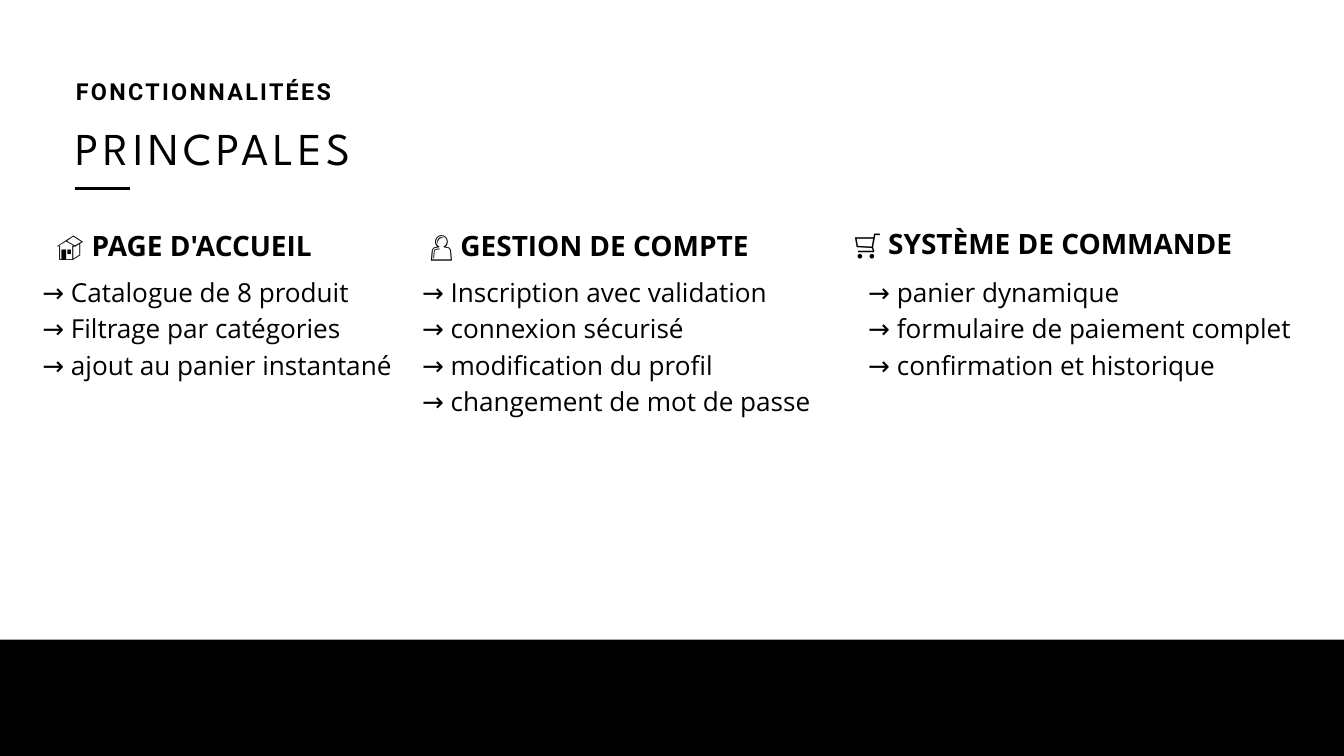
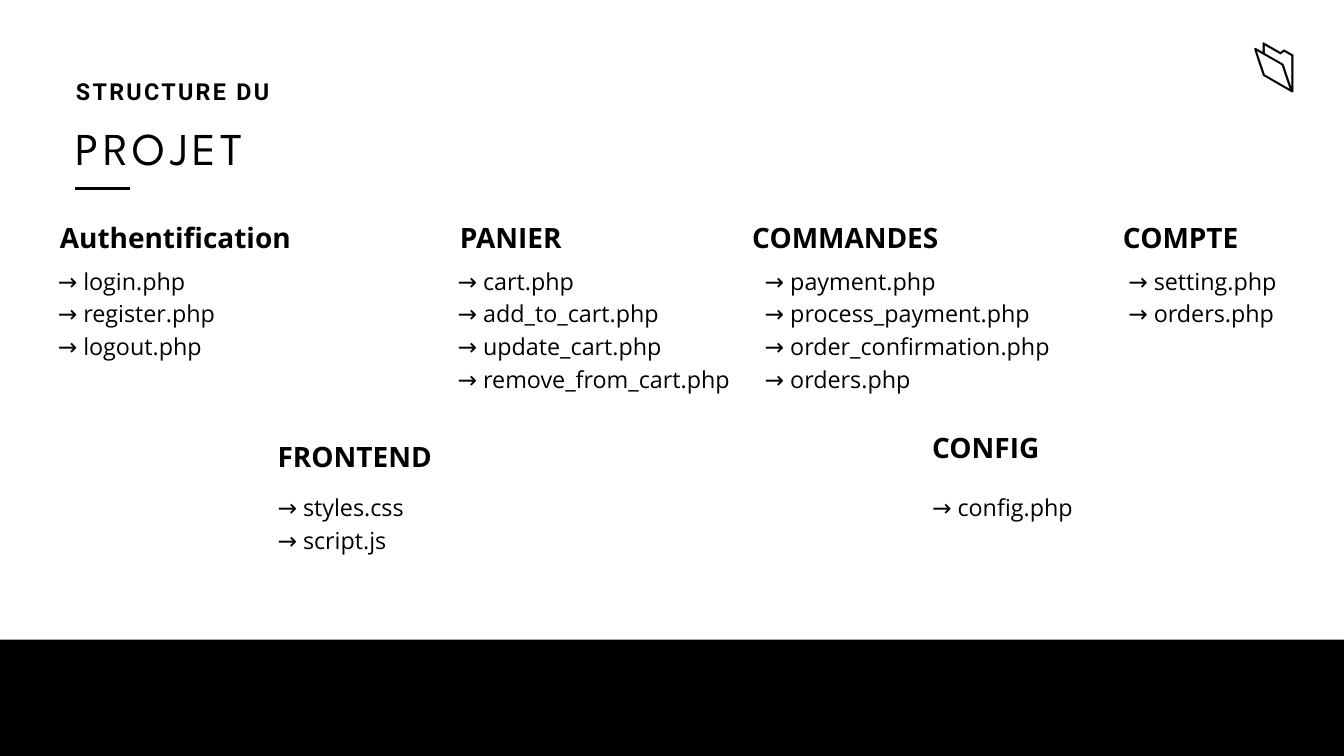
"""Builds two slides on a shop site: its main features and its file structure."""
from lxml import etree
from pptx import Presentation
from pptx.dml.color import RGBColor
from pptx.enum.shapes import MSO_CONNECTOR, MSO_SHAPE
from pptx.enum.text import MSO_ANCHOR, MSO_AUTO_SIZE, PP_ALIGN
from pptx.oxml.ns import qn
from pptx.util import Inches, Pt

LEFT, CENTER, JUSTIFY = PP_ALIGN.LEFT, PP_ALIGN.CENTER, PP_ALIGN.JUSTIFY
TOP, GROW = MSO_ANCHOR.TOP, MSO_AUTO_SIZE.SHAPE_TO_FIT_TEXT
LINE, RECT = MSO_CONNECTOR.STRAIGHT, MSO_SHAPE.RECTANGLE
BLACK = "000000"
SANS = "Open Sans"

DECK = [
    {
        "title": "PRINCPALES", "kicker": "FONCTIONNALITÉES", "size": 28, "align": JUSTIFY,
        "groups": [
            ("🏠 PAGE D'ACCUEIL", (0.63, 3.32, 4.21), (0.63, 4.03, 5.27),
             ["Catalogue de 8 produit", "Filtrage par catégories", "ajout au panier instantané"]),
            ("👤 GESTION DE COMPTE", (6.28, 3.32, 4.98), (6.28, 4.03, 6.64),
             ["Inscription avec validation", "connexion sécurisé",
              "modification du profil", "changement de mot de passe"]),
            ("🛒 SYSTÈME DE COMMANDE", (12.62, 3.29, 5.81), (12.92, 4.03, 6.47),
             ["panier dynamique", "formulaire de paiement complet",
              "confirmation et historique"]),
        ],
    },
    {
        "title": "PROJET", "kicker": "STRUCTURE DU", "size": 25, "align": LEFT, "icon": "📂",
        "groups": [
            ("Authentification", (0.52, 3.2, 4.18), (0.86, 3.9, 2.41),
             ["login.php", "register.php", "logout.php"]),
            ("PANIER", (5.51, 3.2, 4.18), (6.81, 3.9, 4.13),
             ["cart.php", "add_to_cart.php", "update_cart.php", "remove_from_cart.php"]),
            ("COMMANDES", (10.49, 3.2, 4.18), (11.38, 3.9, 4.31),
             ["payment.php", "process_payment.php", "order_confirmation.php", "orders.php"]),
            ("COMPTE", (15.48, 3.2, 4.18), (16.79, 3.9, 2.27),
             ["setting.php", "orders.php"]),
            ("FRONTEND", (4.13, 6.45, 2.3), (4.13, 7.27, 1.94),
             ["styles.css", "script.js"]),
            ("CONFIG", (13.87, 6.33, 1.6), (13.87, 7.27, 2.15),
             ["config.php"]),
        ],
    },
]


def color(text):
    return RGBColor.from_string(text)


def write(shape, place, lines, size, pitch, font=SANS, bold=False, align=LEFT, gap=0):
    left, top, width = place
    shape.left, shape.top, shape.width = Inches(left), Inches(top), Inches(width)
    shape.height = Pt(pitch * len(lines))
    frame = shape.text_frame
    frame.margin_left = frame.margin_right = frame.margin_top = frame.margin_bottom = 0
    frame.word_wrap, frame.auto_size, frame.vertical_anchor = True, GROW, TOP
    frame.text = "\n".join(lines)
    for para in frame.paragraphs:
        props = para._p.get_or_add_pPr()
        props.set("marL", "0")
        props.set("indent", "0")
        etree.SubElement(props, qn("a:buNone"))
        para.alignment, para.line_spacing = align, Pt(pitch)
        para.space_before = para.space_after = Pt(0)
        para.font.name, para.font.size, para.font.bold = font, Pt(size), bold
        para.font.color.rgb = color(BLACK)
        if gap:
            for run in para.runs:
                run._r.get_or_add_rPr().set("spc", str(round(gap * 100)))


deck = Presentation()
deck.slide_width, deck.slide_height = Inches(20), Inches(11.25)
layout = deck.slide_layouts.get_by_name("Comparison")

for page in DECK:
    slide = deck.slides.add_slide(layout)
    shapes = slide.shapes
    bodies = [body for body in slide.placeholders if body.placeholder_format.idx]

    write(shapes.title, (1.13, 1.76, 7.01), [page["title"]], 48.8, 60.9,
          "League Spartan", gap=4.9)
    write(shapes.add_textbox(0, 0, 0, 0), (1.13, 1.13, 7.01), [page["kicker"]], 25, 31.2,
          "Roboto", bold=True, gap=2.5)

    rule = shapes.add_connector(LINE, Inches(1.12), Inches(2.81), Inches(1.94), Inches(2.81))
    rule.line.color.rgb = color(BLACK)
    rule.line.width = Pt(3)
    etree.SubElement(rule._element.spPr, qn("a:effectLst"))

    band = shapes.add_shape(RECT, 0, Inches(9.52), deck.slide_width, Inches(1.73))
    band.shadow.inherit = False
    band.fill.solid()
    band.fill.fore_color.rgb = color(BLACK)
    band.line.fill.background()

    if "icon" in page:
        write(shapes.add_textbox(0, 0, 0, 0), (18.4, 0.27, 1.12), [page["icon"]], 58.6, 82.1,
              align=CENTER)

    for head, spot, place, items in page["groups"]:
        write(shapes.add_textbox(0, 0, 0, 0), spot, [head], 30, 42, bold=True, align=CENTER)
        body = bodies.pop(0) if bodies else shapes.add_textbox(0, 0, 0, 0)
        write(body, place, [f"→ {item}" for item in items], page["size"], page["size"] * 1.4,
              align=page["align"])

    for body in bodies:
        body._element.getparent().remove(body._element)

deck.save("out.pptx")
